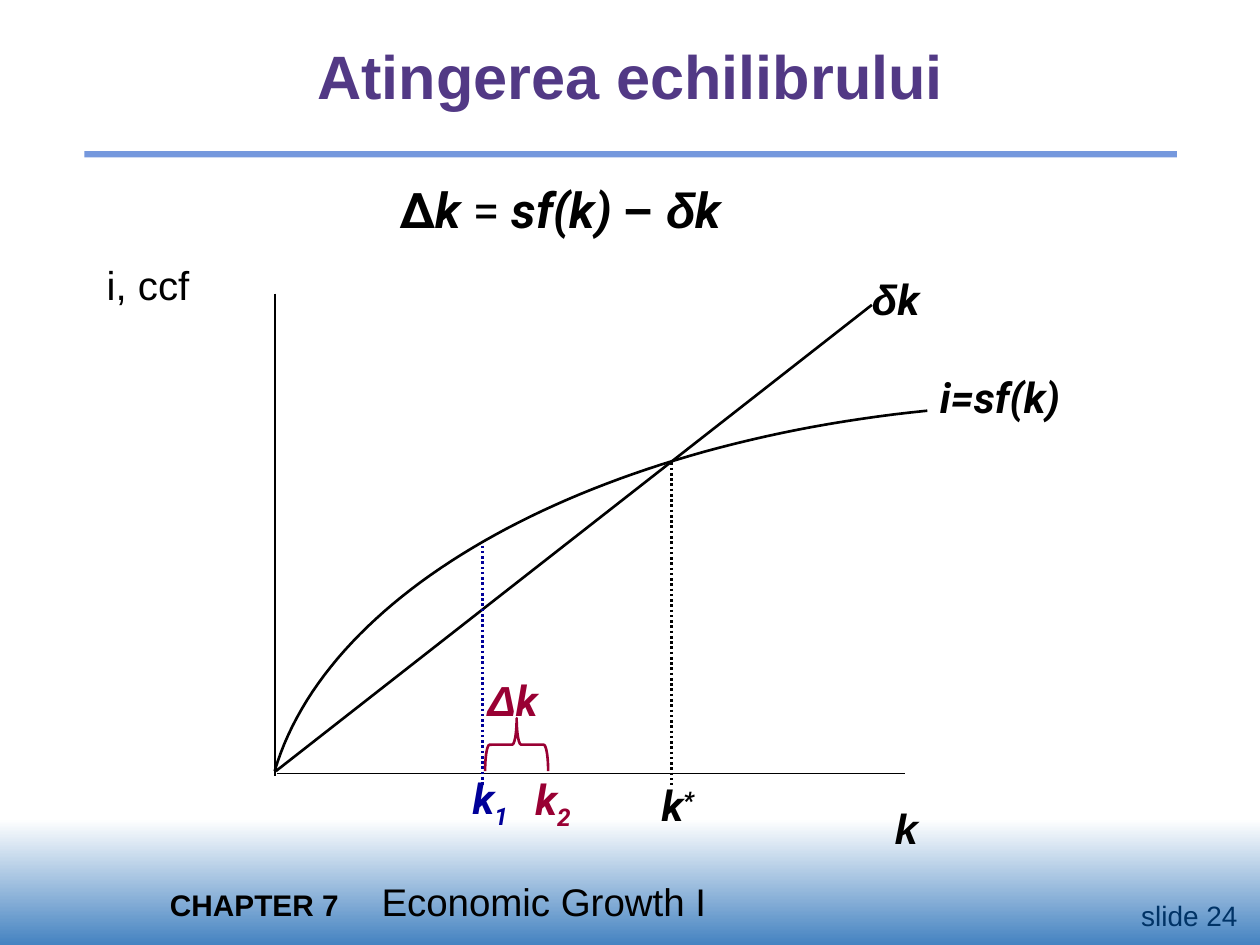
from lxml.etree import SubElement
from pptx import Presentation
from pptx.dml.color import RGBColor
from pptx.enum.dml import MSO_LINE
from pptx.enum.shapes import MSO_CONNECTOR, MSO_SHAPE
from pptx.enum.text import MSO_ANCHOR, PP_ALIGN
from pptx.oxml.ns import qn
from pptx.util import Inches, Pt

COLORS = {
    "black": "000000", "white": "FFFFFF", "title": "523985", "rule": "7598DD",
    "band": "4583C1", "number": "003366", "k1": "000099", "k2": "990033",
}
SYMBOL = dict(size=24, bold=True, italic=True, font="Roboto")


def rgb(name):
    return RGBColor.from_string(COLORS[name])


def add_text(s, box, runs, align=PP_ALIGN.LEFT, anchor=MSO_ANCHOR.MIDDLE,
             margins=(0, 0), tab=None, **base):
    """Add a one-paragraph box; runs are (text, format changes) pairs."""
    tf = s.shapes.add_textbox(*map(Inches, box)).text_frame
    tf.word_wrap = True
    tf.vertical_anchor = anchor
    tf.margin_left = tf.margin_right = Inches(margins[0])
    tf.margin_top = tf.margin_bottom = Inches(margins[1])
    p = tf.paragraphs[0]
    p.alignment = align
    if tab:
        tabs = SubElement(p._p.get_or_add_pPr(), qn("a:tabLst"))
        SubElement(tabs, qn("a:tab"), pos=str(Inches(tab)), algn="l")
    for text, changes in runs:
        fmt = {"font": "Arial", "color": "black", **base, **changes}
        r = p.add_run()
        r.text = text
        r.font.name = fmt["font"]
        r.font.size = Pt(fmt["size"])
        r.font.bold = fmt.get("bold", False)
        r.font.italic = fmt.get("italic", False)
        r.font.color.rgb = rgb(fmt["color"])
        if "baseline" in fmt:
            r.font._element.set("baseline", str(fmt["baseline"] * 1000))


def add_line(s, start, end, color="black", width=1.5, dotted=False):
    sp = s.shapes.add_connector(MSO_CONNECTOR.STRAIGHT,
                                *map(Inches, (*start, *end)))
    sp.line.color.rgb = rgb(color)
    sp.line.width = Pt(width)
    if dotted:
        sp.line.dash_style = MSO_LINE.ROUND_DOT
    SubElement(sp._element.spPr, qn("a:effectLst"))


def add_bar(s, box, color, gradient_to=None):
    sp = s.shapes.add_shape(MSO_SHAPE.RECTANGLE, *map(Inches, box))
    sp.shadow.inherit = False
    sp.line.fill.background()
    if gradient_to:
        sp.fill.gradient()
        sp.fill.gradient_angle = 270
        for stop, name, position in zip(sp.fill.gradient_stops,
                                        (color, gradient_to), (0, 1)):
            stop.color.rgb = rgb(name)
            stop.position = position
    else:
        sp.fill.solid()
        sp.fill.fore_color.rgb = rgb(color)


def add_curve(s, controls, steps=60):
    """Draw a cubic Bezier curve through evenly stepped points."""
    points = []
    for i in range(steps + 1):
        t = i / steps
        weights = ((1 - t) ** 3, 3 * t * (1 - t) ** 2, 3 * t * t * (1 - t), t ** 3)
        points.append(tuple(Inches(sum(w * c[axis] for w, c in zip(weights, controls)))
                            for axis in (0, 1)))
    builder = s.shapes.build_freeform(*points[0])
    builder.add_line_segments(points[1:], close=False)
    sp = builder.convert_to_shape()
    sp.shadow.inherit = False
    sp.fill.background()
    sp.line.color.rgb = rgb("black")
    sp.line.width = Pt(1.5)


def add_brace(s, box, color):
    sp = s.shapes.add_shape(MSO_SHAPE.LEFT_BRACE, *map(Inches, box))
    sp.rotation = 90
    sp.shadow.inherit = False
    sp.fill.background()
    sp.line.color.rgb = rgb(color)
    sp.line.width = Pt(1.5)


def add_frame(s):
    # Title, rule and footer
    add_bar(s, (0, 6.5, 10, 1), "white", gradient_to="band")
    add_bar(s, (0.67, 1.2, 8.67, 0.05), "rule")
    add_text(s, (0.42, 0.25, 9.17, 0.69), [("Atingerea echilibrului", {})],
             align=PP_ALIGN.CENTER, size=35, bold=True, color="title")
    add_text(s, (1.25, 6.92, 8.33, 0.47),
             [("CHAPTER 7", dict(size=17, bold=True)),
              ("\tEconomic Growth I", dict(size=22))],
             anchor=MSO_ANCHOR.TOP, margins=(0.1, 0.05), tab=1.68)
    add_text(s, (8.92, 7.08, 1, 0.37), [("slide 24", {})], align=PP_ALIGN.RIGHT,
             anchor=MSO_ANCHOR.TOP, margins=(0.1, 0.05), size=16, color="number")


def add_diagram(s):
    # Axes
    add_line(s, (2.18, 2.33), (2.18, 6.16), width=1)
    add_line(s, (2.2, 6.14), (7.18, 6.14), width=1)
    add_text(s, (0.17, 2.07, 2.01, 0.38), [("i, ccf", {})],
             align=PP_ALIGN.CENTER, size=23)
    add_text(s, (7.1, 6.37, 1.75, 0.4), [("k", dict(font="Arial"))], **SYMBOL)

    # Investment curve and depreciation line
    add_curve(s, [(7.36, 3.26), (4.68, 3.53), (2.61, 4.67), (2.18, 6.12)])
    add_text(s, (7.46, 2.95, 1.37, 0.4), [("i=sf(k)", {})], **SYMBOL)
    add_line(s, (2.19, 6.12), (6.92, 2.42))
    add_text(s, (6.92, 2.17, 1.08, 0.4),
             [("δ", dict(font="Arial")), ("k", {})], **SYMBOL)

    # Capital levels
    add_line(s, (5.33, 3.67), (5.33, 6.23), dotted=True)
    add_line(s, (3.83, 4.33), (3.83, 6.24), "k1", dotted=True)
    levels = [((5.25, 6.19, 0.58, 0.4), "*", 30, "black"),
              ((3.75, 6.13, 0.58, 0.46), "1", -25, "k1"),
              ((4.25, 6.14, 0.5, 0.46), "2", -25, "k2")]
    for box, mark, baseline, color in levels:
        add_text(s, box, [("k", {}), (mark, dict(baseline=baseline))],
                 color=color, **SYMBOL)

    # Change in capital
    add_brace(s, (3.89, 5.66, 0.42, 0.5), "k2")
    add_text(s, (3.87, 5.35, 0.58, 0.4),
             [("Δ", dict(font="Arial")), ("k", {})],
             anchor=MSO_ANCHOR.TOP, color="k2", **SYMBOL)


def main():
    prs = Presentation()
    prs.slide_width, prs.slide_height = Inches(10), Inches(7.5)
    s = prs.slides.add_slide(prs.slide_layouts[6])
    add_frame(s)
    # Equation of capital accumulation
    add_text(s, (3.17, 1.42, 2.92, 0.47),
             [("Δ", dict(italic=False)), ("k", {}),
              (" = ", dict(bold=False, italic=False)), ("sf(k) ", {}),
              ("− ", dict(font="Arial", italic=False)),
              ("δ", dict(font="Arial")), ("k", {})], **{**SYMBOL, "size": 28})
    add_diagram(s)
    prs.save("out.pptx")


if __name__ == "__main__":
    main()
